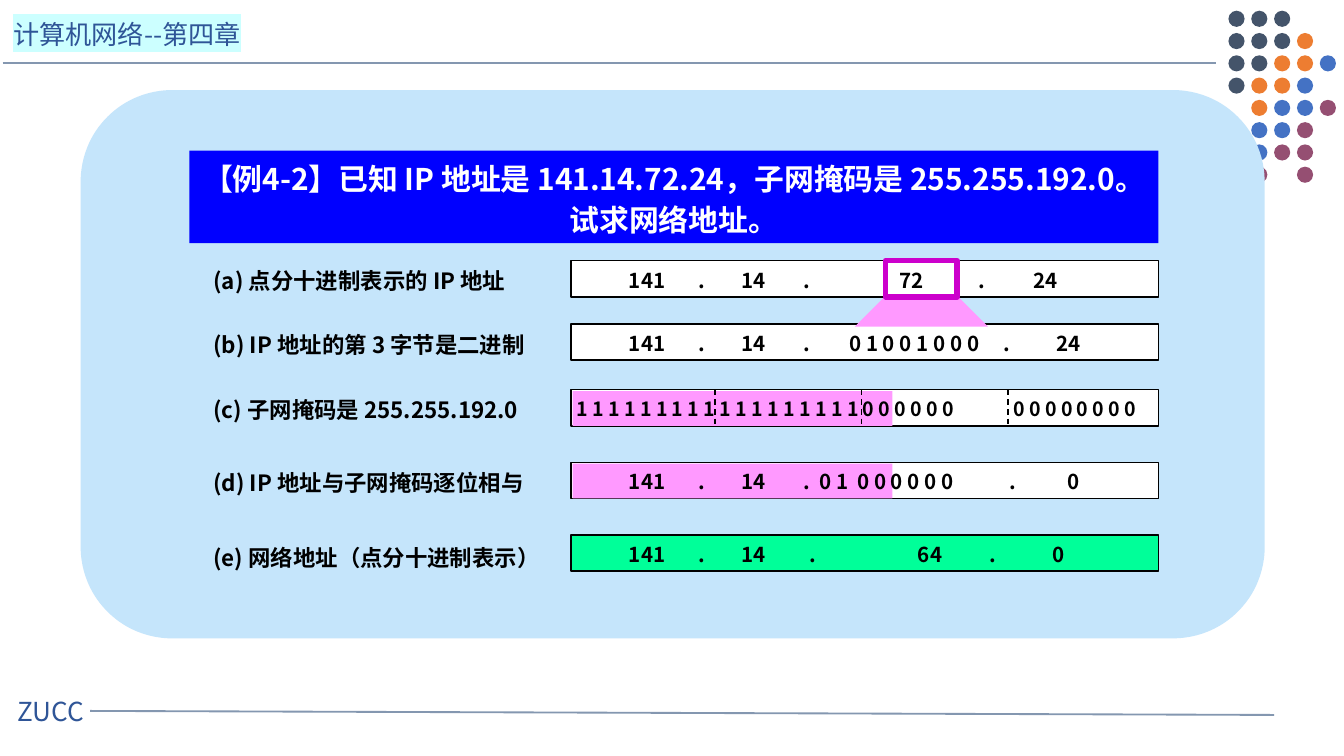
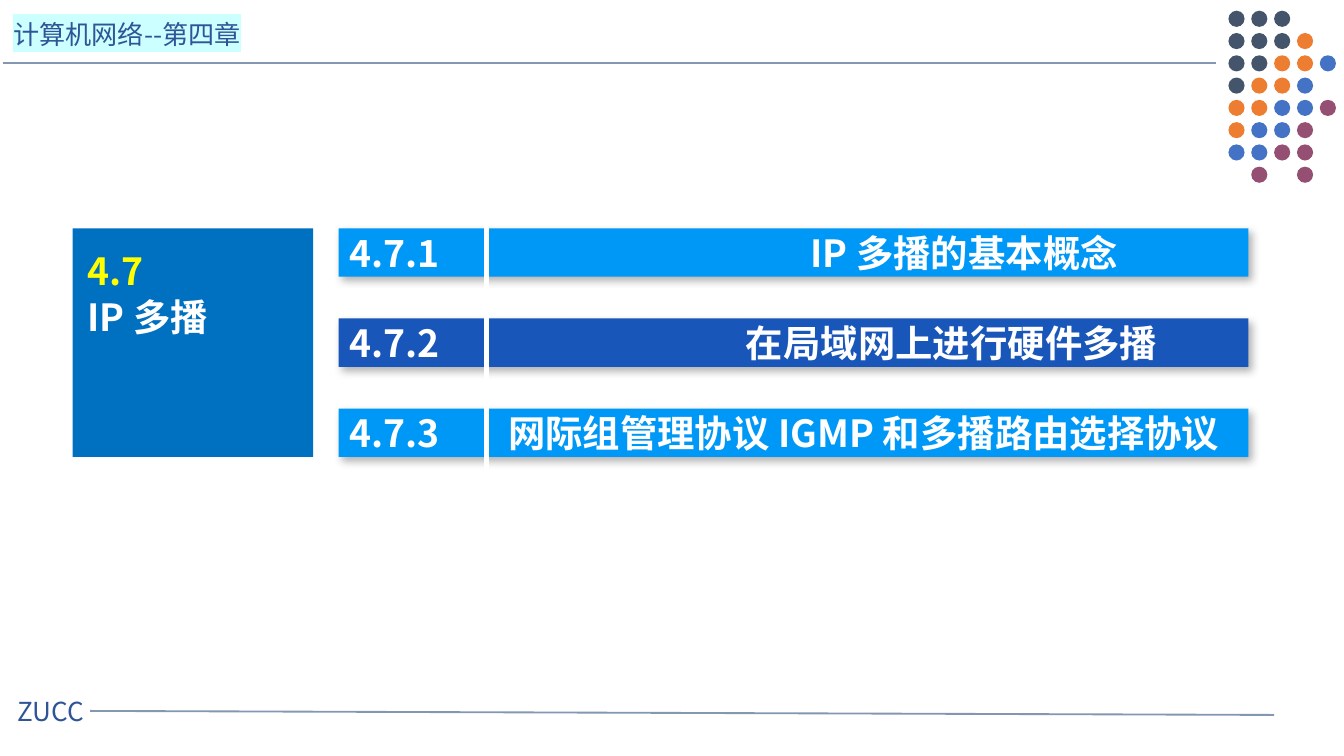
from dataclasses import dataclass

from lxml import etree
from pptx import Presentation
from pptx.dml.color import RGBColor
from pptx.enum.dml import MSO_LINE
from pptx.enum.shapes import MSO_CONNECTOR, MSO_SHAPE
from pptx.enum.text import MSO_ANCHOR, MSO_AUTO_SIZE, PP_ALIGN
from pptx.oxml.ns import qn
from pptx.util import Inches, Pt

RECTANGLE = MSO_SHAPE.RECTANGLE
ROUNDED = MSO_SHAPE.ROUNDED_RECTANGLE
OVAL = MSO_SHAPE.OVAL
STRAIGHT = MSO_CONNECTOR.STRAIGHT
DASH = MSO_LINE.DASH
LEFT, CENTER = PP_ALIGN.LEFT, PP_ALIGN.CENTER
TOP, MIDDLE = MSO_ANCHOR.TOP, MSO_ANCHOR.MIDDLE
NO_AUTO_SIZE = MSO_AUTO_SIZE.NONE


@dataclass(frozen=True)
class Theme:
    font: str = "Noto Sans CJK SC"
    white: str = "FFFFFF"
    black: str = "000000"
    rule: str = "8497B0"
    header: str = "2F5597"
    header_mark: str = "CCFFFF"
    panel: str = "C5E5FB"
    question: str = "0000FF"
    masked: str = "FF99FF"
    result: str = "00FF99"
    frame: str = "CC00CC"
    section: str = "0070C0"
    section_number: str = "FFFF00"
    topic: str = "0098F6"
    topic_alternate: str = "1956B9"
    heading_size: float = 20
    question_size: float = 16
    header_size: float = 14
    label_size: float = 12
    value_size: float = 11
    mask_size: float = 10.5


THEME = Theme()
DOT_COLORS = {"N": "44546A", "O": "ED7D31", "B": "4472C4", "P": "954F72"}
SHARED_DOTS = ["NNN", "NNNO", "NNOOB", "NOOB", " OBBP", " BBP", " BPP", " P P"]
EXTRA_DOTS = ["", "", "", "", "O", "O", "B"]

# Each row: label, bar top, label shift, bar colour, text size, (value, offset in bar)
ADDRESS_START = [("141", 0.43), (".", 0.95), ("14", 1.27)]
DIAGRAM_ROWS = [
    ("(a) 点分十进制表示的 IP 地址", 0, 0, THEME.white, THEME.value_size,
     ADDRESS_START + [(".", 1.73), ("72", 2.44), (".", 3.03), ("24", 3.44)]),
    ("(b) IP 地址的第 3 字节是二进制", 0.47, 0, THEME.white, THEME.value_size,
     ADDRESS_START + [(".", 1.73), ("0 1 0 0 1 0 0 0", 2.07), (".", 3.22), ("24", 3.61)]),
    ("(c) 子网掩码是 255.255.192.0", 0.96, 0, THEME.white, THEME.mask_size,
     [("1 1 1 1 1 1 1 1 1 1 1 1 1 1 1 1 1 1 0 0 0 0 0 0", 0.04),
      ("0 0 0 0 0 0 0 0", 3.29)]),
    ("(d) IP 地址与子网掩码逐位相与", 1.5, 0, THEME.white, THEME.value_size,
     ADDRESS_START + [(".", 1.73), ("0 1", 1.85), ("0 0 0 0 0 0", 2.13),
                      (".", 3.26), ("0", 3.69)]),
    ("(e) 网络地址（点分十进制表示）", 2.04, 0.02, THEME.result, THEME.value_size,
     ADDRESS_START + [(".", 1.77), ("64", 2.58), (".", 3.11), ("0", 3.58)]),
]
TOPICS = [
    ("4.7.1", "IP 多播的基本概念", 3.43, THEME.topic),
    ("4.7.2", "在局域网上进行硬件多播", 2.95, THEME.topic_alternate),
    ("4.7.3", "网际组管理协议 IGMP 和多播路由选择协议", 1.18, THEME.topic),
]


def rgb(color):
    return RGBColor.from_string(color)


def place(shape, left, top, width, height):
    shape.left, shape.top = Inches(left), Inches(top)
    shape.width, shape.height = Inches(width), Inches(height)


def setup_frame(shape, insets=(0.1, 0.05), anchor=TOP):
    frame = shape.text_frame
    frame.word_wrap = True
    frame.auto_size = NO_AUTO_SIZE
    frame.vertical_anchor = anchor
    frame.margin_left = frame.margin_right = Inches(insets[0])
    frame.margin_top = frame.margin_bottom = Inches(insets[1])


def write(shape, text, size, color, bold=True, align=LEFT, line_points=None,
          before=0, tabs=(), hanging=None, highlight=None):
    """Fill the empty first paragraph, or add one after the existing text."""
    frame = shape.text_frame
    paragraph = frame.add_paragraph() if frame.text else frame.paragraphs[0]
    properties = paragraph._p.get_or_add_pPr()
    if hanging is not None:
        properties.set("marL", str(Inches(hanging)))
        properties.set("indent", str(-Inches(hanging)))
    etree.SubElement(properties, qn("a:buNone"))
    if tabs:
        tab_list = etree.SubElement(properties, qn("a:tabLst"))
        for position in tabs:
            etree.SubElement(tab_list, qn("a:tab"), pos=str(Inches(position)), algn="l")
    paragraph.alignment = align
    paragraph.space_before = Pt(before)
    if line_points:
        paragraph.line_spacing = Pt(line_points)
    run = paragraph.add_run()
    run.text = text
    run.font.size, run.font.bold = Pt(size), bold
    run.font.name = THEME.font
    run.font.color.rgb = rgb(color)
    latin = run._r.get_or_add_rPr().find(qn("a:latin"))
    latin.addnext(etree.Element(qn("a:ea"), typeface=THEME.font))
    if highlight:
        mark = etree.Element(qn("a:highlight"))
        etree.SubElement(mark, qn("a:srgbClr"), val=highlight)
        latin.addprevious(mark)


def add_text(slide, box, text, insets=(0.1, 0.05), anchor=MIDDLE, **text_format):
    shape = slide.shapes.add_textbox(*map(Inches, box))
    setup_frame(shape, insets, anchor)
    write(shape, text, **text_format)
    return shape


def paint(shape, fill=None, line=None, line_width=0.75):
    shape.shadow.inherit = False
    if fill:
        shape.fill.solid()
        shape.fill.fore_color.rgb = rgb(fill)
    else:
        shape.fill.background()
    if line:
        shape.line.color.rgb = rgb(line)
        shape.line.width = Pt(line_width)
    else:
        shape.line.fill.background()


def add_block(slide, kind, box, **look):
    shape = slide.shapes.add_shape(kind, *map(Inches, box))
    paint(shape, **look)
    return shape


def add_line(slide, start, end, color, width, dash=None):
    connector = slide.shapes.add_connector(STRAIGHT, *map(Inches, start + end))
    connector.line.color.rgb = rgb(color)
    connector.line.width = Pt(width)
    if dash:
        connector.line.dash_style = dash
    etree.SubElement(connector.element.spPr, qn("a:effectLst"))


def add_drop_shadow(shape):
    effects = shape.element.spPr.find(qn("a:effectLst"))
    shadow = etree.SubElement(effects, qn("a:outerShdw"), blurRad=str(Pt(4.5)),
                              dist=str(Pt(2.6)), dir=str(53 * 60000), rotWithShape="0")
    color = etree.SubElement(shadow, qn("a:srgbClr"), val=THEME.black)
    etree.SubElement(color, qn("a:alpha"), val="30000")


def bring_placeholder(slide, placeholder, box, **frame_format):
    """Position a placeholder and lift it above the shapes drawn so far."""
    place(placeholder, *box)
    setup_frame(placeholder, **frame_format)
    slide.shapes.element.append(placeholder.element)
    return placeholder


# Shared decoration
def draw_dots(slide, left, top, pattern):
    row_pitch = (1.24 - 0.08) / 7
    for row, codes in enumerate(pattern):
        for column, code in enumerate(codes):
            if code in DOT_COLORS:
                box = (left + 0.17 * column, top + row_pitch * row, 0.12, 0.12)
                add_block(slide, OVAL, box, fill=DOT_COLORS[code])


def draw_frame(slide):
    header_format = dict(size=THEME.header_size, color=THEME.header, bold=False)
    add_line(slide, (0.02, 0.47), (9.05, 0.47), THEME.rule, 1)
    add_line(slide, (0.67, 5.29), (9.48, 5.32), THEME.rule, 1)
    add_text(slide, (0.03, 5.12, 0.89, 0.34), "ZUCC", **header_format)
    add_text(slide, (0, 0.08, 2.16, 0.34), "计算机网络--第四章",
             highlight=THEME.header_mark, **header_format)
    draw_dots(slide, 9.14, 0.08, SHARED_DOTS)


def move_frame_to_master(presentation, slide):
    existing = {shape.shape_id for shape in slide.shapes}
    draw_frame(slide)
    for shape in list(slide.shapes):
        if shape.shape_id not in existing:
            presentation.slide_master.shapes.element.append(shape.element)


# Slide 1: worked subnet example
def draw_diagram(slide, left, top):
    bar_left, bar_width, bar_height = left + 2.76, 4.37, 0.27
    for label, row_top, shift, fill, size, values in DIAGRAM_ROWS:
        add_block(slide, RECTANGLE, (bar_left, top + row_top, bar_width, bar_height),
                  fill=fill, line=THEME.black)
        add_text(slide, (left, top + row_top + shift - 0.01, 2.82, 0.32), label,
                 size=THEME.label_size, color=THEME.black)

    # Funnel from the third byte to its binary form
    funnel_points = [(2.34, 0.26), (2.87, 0.26), (3.1, 0.49), (2.11, 0.49)]
    corners = [(Inches(bar_left + x), Inches(top + y)) for x, y in funnel_points]
    builder = slide.shapes.build_freeform(*corners[0])
    builder.add_line_segments(corners[1:], close=True)
    paint(builder.convert_to_shape(), fill=THEME.masked)

    # Network part under the mask, and byte boundaries
    for masked_top in (0.97, 1.51):
        add_block(slide, RECTANGLE, (bar_left + 0.01, top + masked_top, 2.38, 0.26),
                  fill=THEME.masked)
    for boundary in (1.07, 2.16, 3.25):
        x = bar_left + boundary
        add_line(slide, (x, top + 0.96), (x, top + 1.23), THEME.black, 0.75, DASH)

    # Values, one tab stop each
    for label, row_top, shift, fill, size, values in DIAGRAM_ROWS:
        add_text(slide, (bar_left, top + row_top + 0.01, bar_width, bar_height),
                 "".join("\t" + value for value, offset in values), insets=(0, 0),
                 size=size, color=THEME.black, tabs=[offset for value, offset in values])
    add_block(slide, RECTANGLE, (bar_left + 2.34, top, 0.53, bar_height),
              line=THEME.frame, line_width=3)


def build_example_slide(slide):
    add_block(slide, ROUNDED, (0.6, 0.67, 8.81, 4.08), fill=THEME.panel)
    draw_diagram(slide, 1.49, 1.94)
    title = bring_placeholder(slide, slide.shapes.title, (1.41, 1.12, 7.21, 0.69),
                              anchor=MIDDLE)
    paint(title, fill=THEME.question)
    write(title, "【例4-2】已知 IP 地址是 141.14.72.24，子网掩码是 255.255.192.0。试求网络地址。",
          size=THEME.question_size, color=THEME.white, align=CENTER, line_points=21.5)


# Slide 2: section contents
def draw_section(slide, left, top):
    add_block(slide, RECTANGLE, (left, top, 1.79, 1.7), fill=THEME.section)
    title = bring_placeholder(slide, slide.shapes.title,
                              (left + 0.01, top + 0.09, 1.78, 0.78))
    for text, color in (("4.7", THEME.section_number), ("IP 多播", THEME.white)):
        write(title, text, size=THEME.heading_size, color=color, line_points=24.5)


def draw_topics(slide, left, top):
    pitch = 0.67
    for index, (number, name, name_offset, fill) in enumerate(TOPICS):
        bar = add_block(slide, RECTANGLE, (left, top + pitch * index, 6.77, 0.36), fill=fill)
        add_drop_shadow(bar)
    add_line(slide, (left + 1.1, top - 0.08), (left + 1.1, top + 2.42), THEME.white, 2.25)
    body = bring_placeholder(slide, slide.placeholders[1],
                             (left - 0.02, top - 0.04, 6.98, 1.78))
    line_points = 24
    for index, (number, name, name_offset, fill) in enumerate(TOPICS):
        write(body, f"{number}\t{name}", size=THEME.heading_size, color=THEME.white,
              line_points=line_points, hanging=name_offset,
              before=pitch * 72 - line_points if index else 0)


def build_contents_slide(slide):
    draw_dots(slide, 9.14, 0.08, EXTRA_DOTS)
    draw_section(slide, 0.54, 1.7)
    draw_topics(slide, 2.52, 1.7)


def main():
    presentation = Presentation()
    presentation.slide_width = Inches(10)
    presentation.slide_height = Inches(10) * 9 // 16
    content_layout, title_layout = (presentation.slide_layouts[i] for i in (1, 5))
    example = presentation.slides.add_slide(title_layout)
    move_frame_to_master(presentation, example)
    build_example_slide(example)
    build_contents_slide(presentation.slides.add_slide(content_layout))
    presentation.save("out.pptx")


if __name__ == "__main__":
    main()
